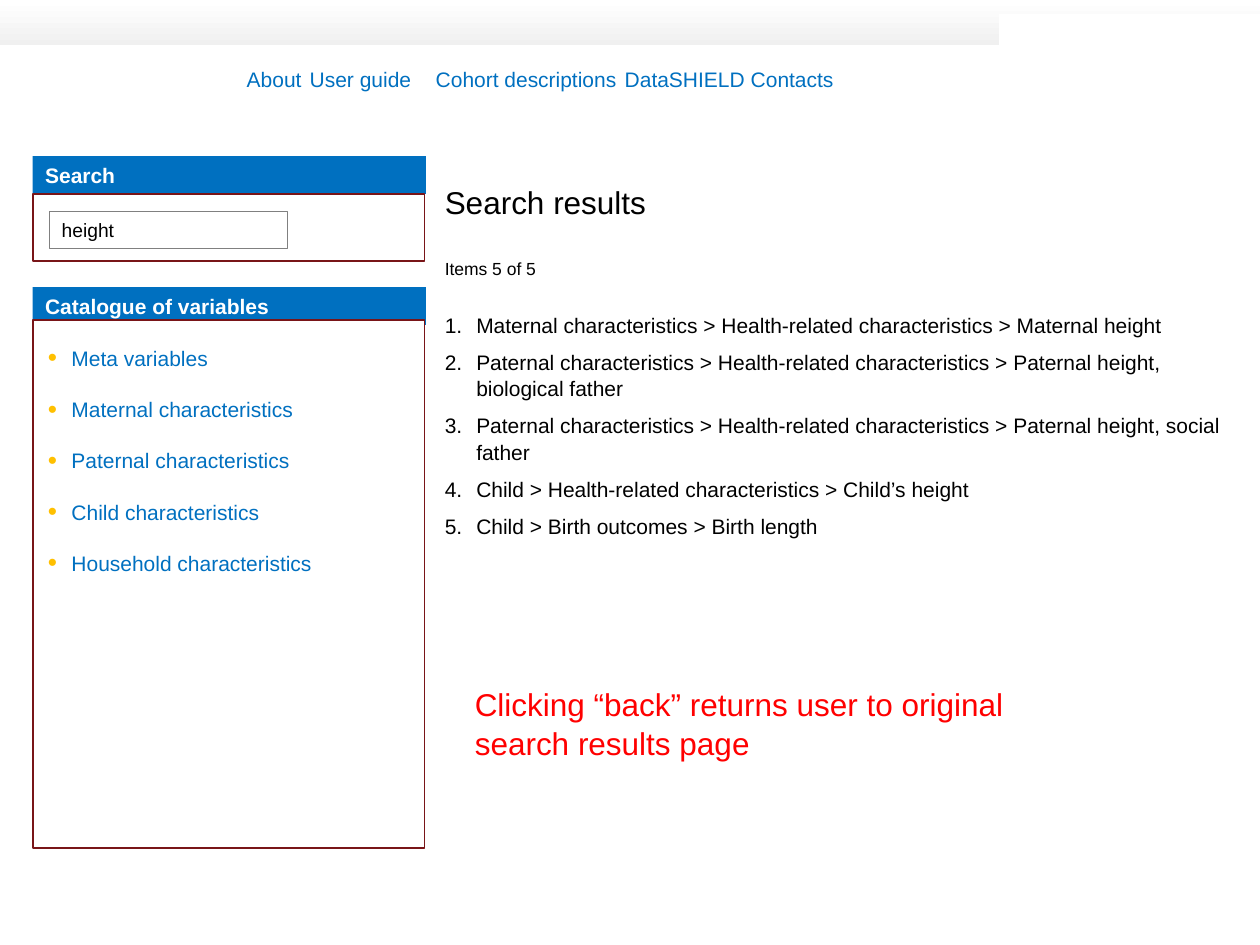
from dataclasses import dataclass
from typing import Optional

from lxml.etree import SubElement
from pptx import Presentation
from pptx.dml.color import RGBColor
from pptx.enum.shapes import MSO_SHAPE
from pptx.enum.text import MSO_ANCHOR, MSO_AUTO_SIZE, PP_ALIGN
from pptx.oxml.ns import qn
from pptx.util import Pt

COLORS = {
    "blue": "0070C0", "maroon": "791518", "gray": "808080", "white": "FFFFFF",
    "black": "000000", "red": "FF0000", "gold": "FFC000", "band": "F0F0F0",
}
FONT = "Arial"
LINE_SPACING = 1.05

NAV_ITEMS = ["About", "User guide", "Cohort descriptions", "DataSHIELD", "Contacts"]
NAV_TABS = [79, 183, 336, 448]
CATEGORIES = [
    "Meta variables", "Maternal characteristics", "Paternal characteristics",
    "Child characteristics", "Household characteristics",
]
RESULTS = [
    "Maternal characteristics > Health-related characteristics > Maternal height",
    "Paternal characteristics > Health-related characteristics > Paternal height, biological father",
    "Paternal characteristics > Health-related characteristics > Paternal height, social father",
    "Child > Health-related characteristics > Child’s height",
    "Child > Birth outcomes > Birth length",
]


@dataclass
class Box:
    x: float
    y: float
    w: float
    h: float
    fill: Optional[str] = None
    line: Optional[str] = None
    line_w: float = 1
    text: str = ""
    size: float = 12
    color: str = "white"
    bold: bool = False


PANELS = [
    Box(18.72, 89.28, 224.64, 21.6, "blue", text="Search", bold=True),
    Box(18.72, 110.88, 223.92, 38.16, "white", "maroon"),
    Box(28.08, 120.96, 136.08, 20.88, None, "gray", 0.75, "height", 11, "black"),
    Box(18.72, 164.16, 224.64, 21.6, "blue", text="Catalogue of variables", bold=True),
    Box(18.72, 182.88, 223.92, 301.68, "white", "maroon"),
]


def rgb(name: str) -> RGBColor:
    return RGBColor.from_string(COLORS[name])


def add_run(p, text: str, size: float, color: str, bold: bool = False) -> None:
    r = p.add_run()
    r.text = text
    r.font.name = FONT
    r.font.size = Pt(size)
    r.font.bold = bold
    r.font.color.rgb = rgb(color)


def draw_box(slide, box: Box):
    sp = slide.shapes.add_shape(
        MSO_SHAPE.RECTANGLE, Pt(box.x), Pt(box.y), Pt(box.w), Pt(box.h))
    sp.shadow.inherit = False
    if box.fill:
        sp.fill.solid()
        sp.fill.fore_color.rgb = rgb(box.fill)
    else:
        sp.fill.background()
    if box.line:
        sp.line.color.rgb = rgb(box.line)
        sp.line.width = Pt(box.line_w)
    else:
        sp.line.fill.background()
    if box.text:
        tf = sp.text_frame
        tf.vertical_anchor = MSO_ANCHOR.MIDDLE
        p = tf.paragraphs[0]
        p.alignment = PP_ALIGN.LEFT
        add_run(p, box.text, box.size, box.color, box.bold)
    return sp


def place_text(sp, x: float, y: float, w: float, h: float):
    sp.left, sp.top, sp.width, sp.height = Pt(x), Pt(y), Pt(w), Pt(h)
    tf = sp.text_frame
    tf.word_wrap = True
    tf.auto_size = MSO_AUTO_SIZE.NONE
    tf.vertical_anchor = MSO_ANCHOR.TOP
    return tf


def format_paragraph(p, before: float = 0, after: float = 0, indent: float = 0):
    p.alignment = PP_ALIGN.LEFT
    p.line_spacing = LINE_SPACING
    p.space_before = Pt(before)
    p.space_after = Pt(after)
    pPr = p._p.get_or_add_pPr()
    pPr.set("marL", str(Pt(indent)))
    pPr.set("indent", str(-Pt(indent)))
    return pPr


def add_bullet(pPr) -> None:
    clr = SubElement(pPr, qn("a:buClr"))
    SubElement(clr, qn("a:srgbClr"), val=COLORS["gold"])
    SubElement(pPr, qn("a:buSzPct"), val="125000")
    SubElement(pPr, qn("a:buFont"), typeface=FONT)
    SubElement(pPr, qn("a:buChar"), char="•")


def draw_header(slide) -> None:
    band = draw_box(slide, Box(0, 0, 720, 25.92, "white"))
    band.fill.gradient()
    band.fill.gradient_angle = 270
    for stop, name in zip(band.fill.gradient_stops, ("white", "band")):
        stop.color.rgb = rgb(name)
    draw_box(slide, Box(570.96, 7.92, 149.04, 46.08, "white"))

    tf = place_text(slide.shapes.add_textbox(0, 0, 0, 0), 133.92, 33.84, 546.48, 21.6)
    p = tf.paragraphs[0]
    tabs = SubElement(format_paragraph(p), qn("a:tabLst"))
    for pos in NAV_TABS:
        SubElement(tabs, qn("a:tab"), pos=str(Pt(pos)), algn="l")
    add_run(p, "\t".join(NAV_ITEMS), 12, "blue")


def draw_catalogue(sp) -> None:
    tf = place_text(sp, 20.16, 192.96, 216, 138.24)
    for i, name in enumerate(CATEGORIES):
        p = tf.add_paragraph() if i else tf.paragraphs[0]
        add_bullet(format_paragraph(p, before=14.2 if i else 0, indent=13.5))
        add_run(p, name, 12, "blue")


def draw_results(title, body) -> None:
    p = place_text(title, 246.96, 100.08, 462.96, 32).paragraphs[0]
    format_paragraph(p)
    add_run(p, "Search results", 18, "black")

    tf = place_text(body, 246.96, 143.4, 462.96, 220)
    p = tf.paragraphs[0]
    SubElement(format_paragraph(p, after=18.2), qn("a:buNone"))
    add_run(p, "Items 5 of 5", 10, "black")
    for result in RESULTS:
        p = tf.add_paragraph()
        pPr = format_paragraph(p, after=6, indent=18)
        SubElement(pPr, qn("a:buFont"), typeface="+mj-lt")
        SubElement(pPr, qn("a:buAutoNum"), type="arabicPeriod")
        add_run(p, result, 12, "black")


def draw_note(slide) -> None:
    tf = place_text(slide.shapes.add_textbox(0, 0, 0, 0), 264.24, 386.64, 372.24, 51.12)
    p = tf.paragraphs[0]
    format_paragraph(p)
    add_run(p, "Clicking “back” returns user to original search results page", 18, "red")


def main() -> None:
    prs = Presentation()
    prs.slide_width, prs.slide_height = Pt(720), Pt(540)
    slide = prs.slides.add_slide(prs.slide_layouts[3])
    title, catalogue, results = slide.placeholders
    draw_header(slide)
    for box in PANELS:
        draw_box(slide, box)
    for sp in (catalogue, title, results):
        slide.shapes._spTree.append(sp._element)
    draw_catalogue(catalogue)
    draw_results(title, results)
    draw_note(slide)
    prs.save("out.pptx")


if __name__ == "__main__":
    main()
